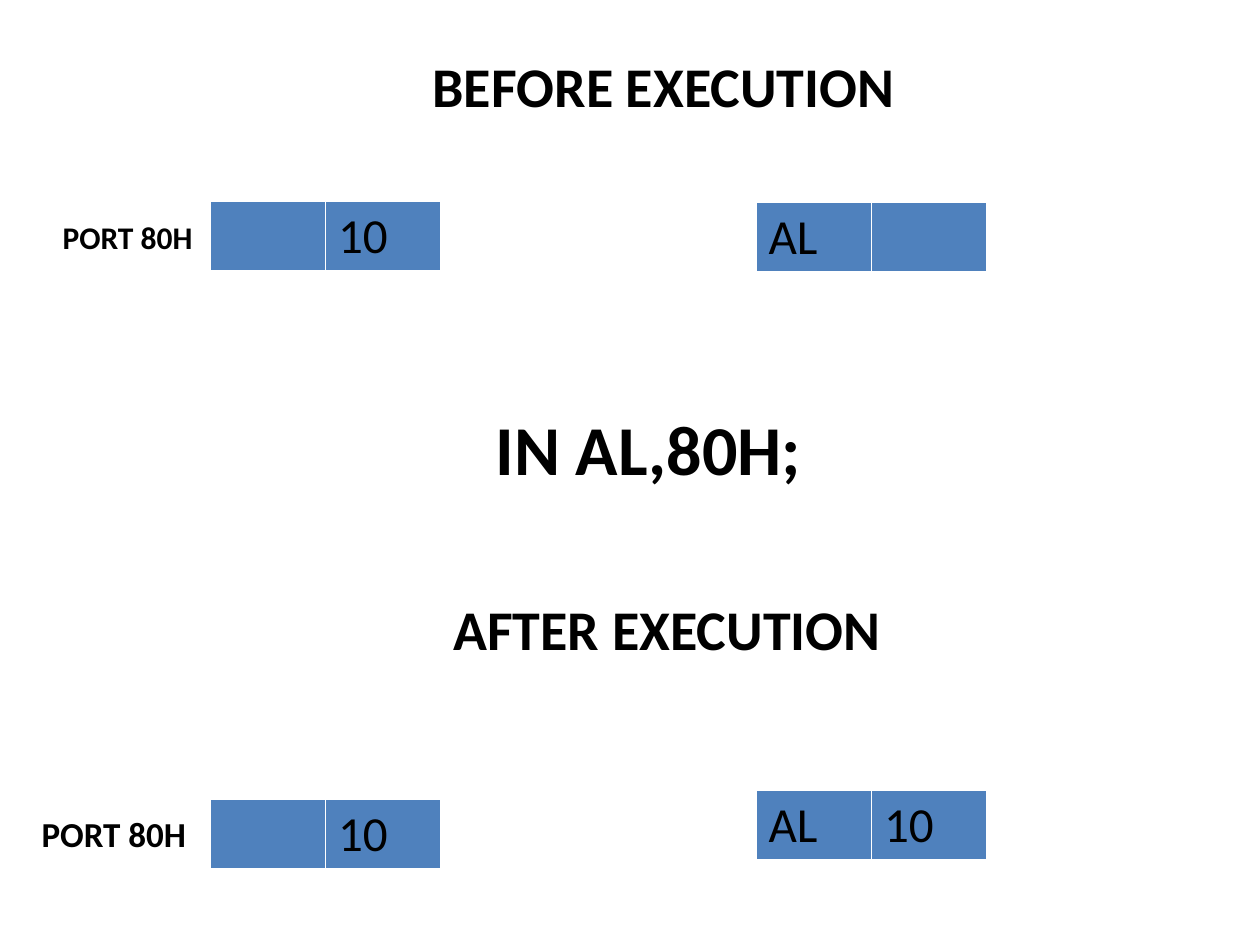
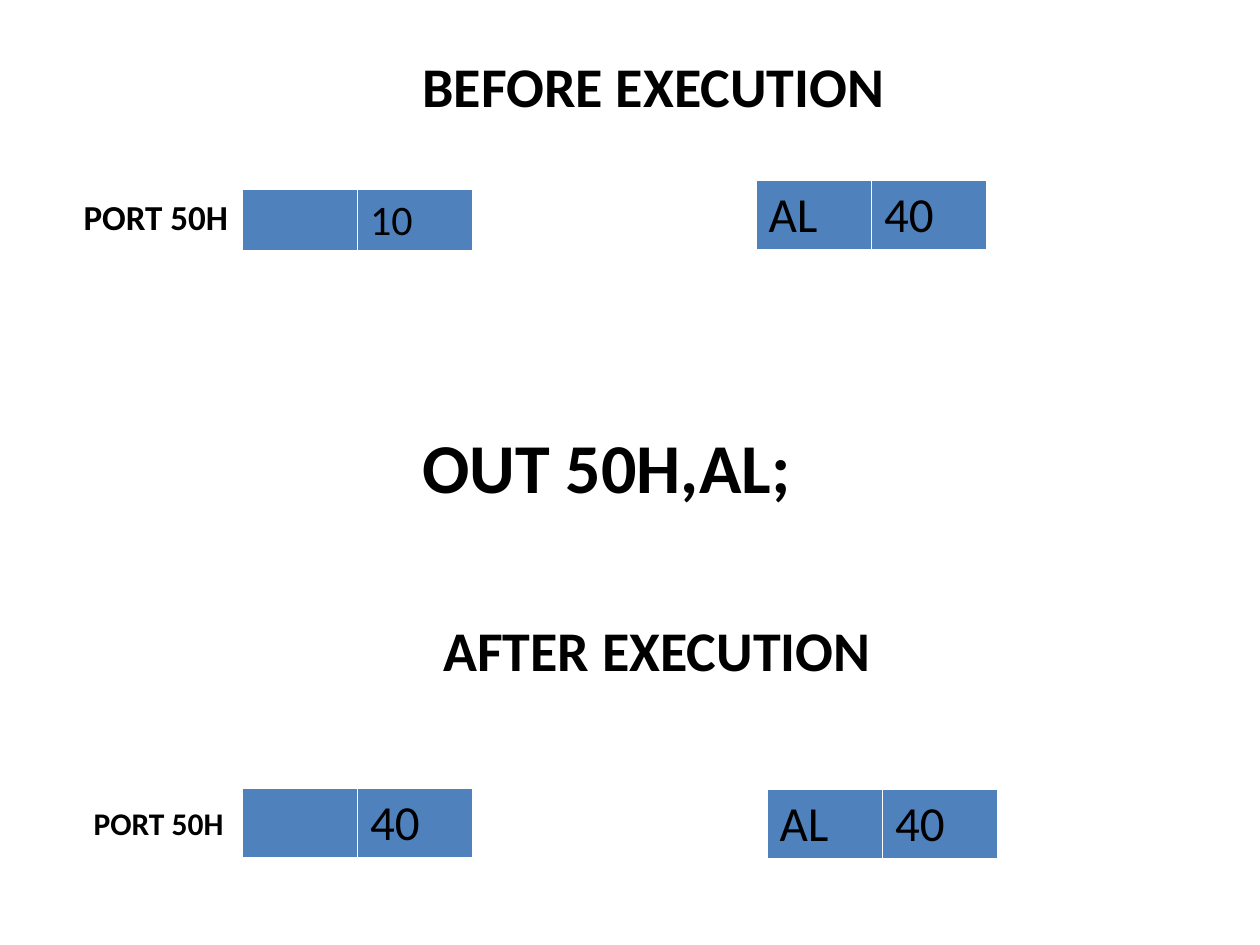
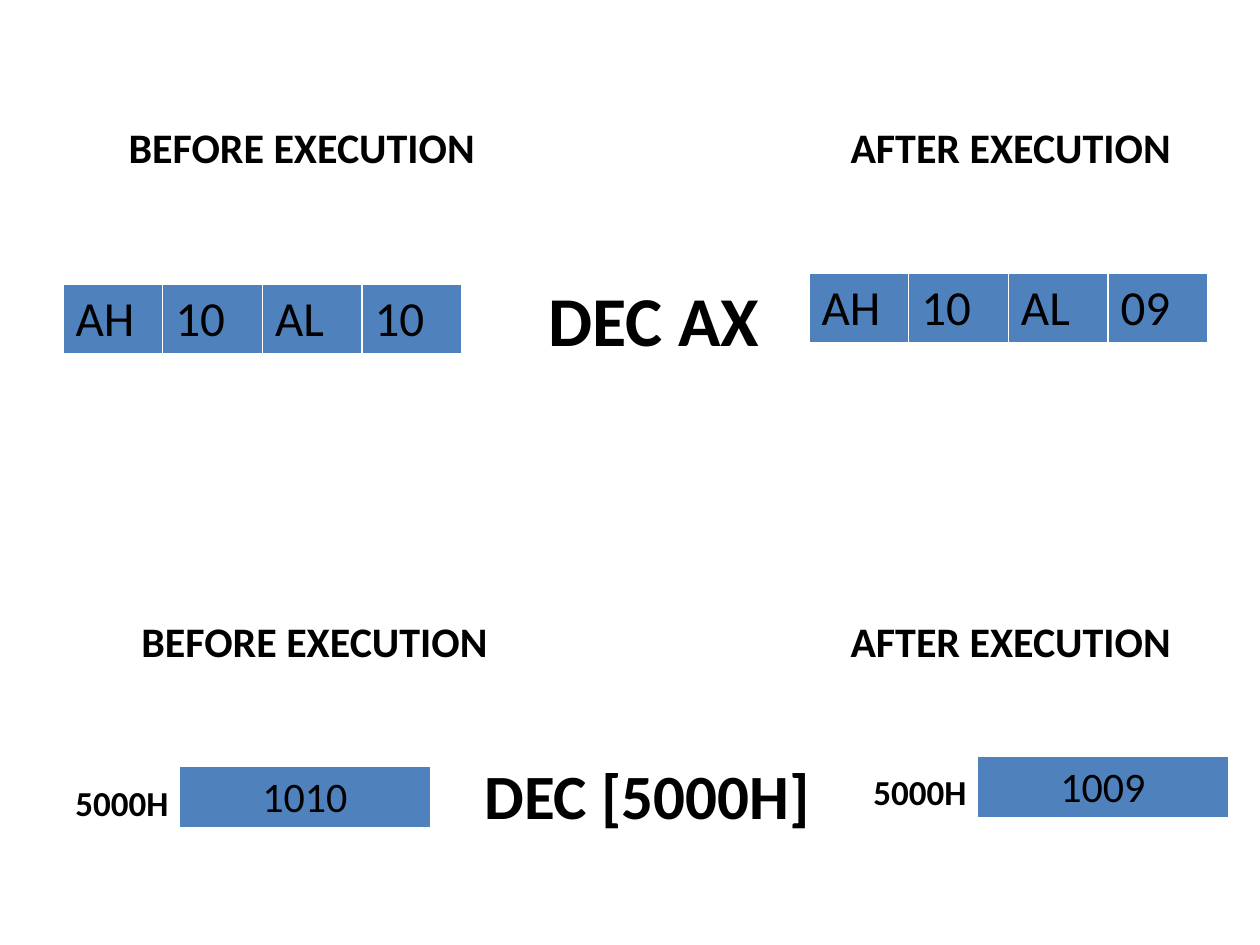
import pptx
import pptx.util
import pptx.dml.color
import pptx.enum.text
import pptx.oxml
import pptx.oxml.ns

# Theme: font, colours, and type sizes in points
THEME = {
    "font": "Calibri",
    "ink": "000000",
    "cell": "4F81BD",
    "rule": "FFFFFF",
    "sizes": {"heading": 32, "subheading": 24, "code": 40, "code_small": 36,
              "label": 20, "label_small": 18, "value": 28, "value_small": 24},
}
PX = 914400 / 126
SLIDE_W, SLIDE_H = 1260, 945
PAIR_W, QUAD_W, WORD_W = 231, 399, 252
HEAD_W, CODE_W, PORT_W, ADDRESS_W = 798, 420, 179, 147
BEFORE_W, AFTER_W = 375, 368
PORT_INDENT, AFTER_INDENT = 8, 19

# Content
# title and texts: text, style, left, top, width, indent
# registers: cell values, style, left, top, width
SLIDES = [
    {
        "title": ("BEFORE EXECUTION", "heading", 420, 45, HEAD_W, 0),
        "texts": [
            ("AFTER EXECUTION", "heading", 441, 588, HEAD_W, 0),
            ("IN AL,80H;", "code", 483, 399, CODE_W, 0),
            ("PORT 80H", "label_small", 42, 212, PORT_W, PORT_INDENT),
            ("PORT 80H", "label", 21, 806, PORT_W, PORT_INDENT),
        ],
        "registers": [
            (["", "10"], "value", 210, 201, PAIR_W),
            (["AL", ""], "value", 756, 202, PAIR_W),
            (["", "10"], "value", 210, 799, PAIR_W),
            (["AL", "10"], "value", 756, 790, PAIR_W),
        ],
    },
    {
        "title": ("BEFORE EXECUTION", "heading", 410, 45, HEAD_W, 0),
        "texts": [
            ("AFTER EXECUTION", "heading", 431, 609, HEAD_W, 0),
            ("OUT 50H,AL;", "code", 410, 417, CODE_W, 0),
            ("PORT 50H", "label", 63, 189, PORT_W, PORT_INDENT),
            ("PORT 50H", "label_small", 73, 798, PORT_W, PORT_INDENT),
        ],
        "registers": [
            (["", "10"], "value_small", 242, 189, PAIR_W),
            (["AL", "40"], "value", 756, 180, PAIR_W),
            (["", "40"], "value", 242, 788, PAIR_W),
            (["AL", "40"], "value", 767, 789, PAIR_W),
        ],
    },
    {
        "title": ("BEFORE EXECUTION", "subheading", 116, 115, BEFORE_W, 0),
        "texts": [
            ("AFTER EXECUTION", "subheading", 819, 115, AFTER_W, AFTER_INDENT),
            ("DEC AX", "code", 536, 270, 242, 0),
            ("BEFORE EXECUTION", "subheading", 129, 609, BEFORE_W, 0),
            ("AFTER EXECUTION", "subheading", 819, 609, AFTER_W, AFTER_INDENT),
            ("5000H", "label", 63, 775, ADDRESS_W, 0),
            ("DEC [5000H]", "code_small", 472, 750, 388, 0),
            ("5000H", "label", 861, 764, ADDRESS_W, 0),
        ],
        "registers": [
            (["AH", "10", "AL", "10"], "value", 63, 284, QUAD_W),
            (["AH", "10", "AL", "09"], "value", 809, 273, QUAD_W),
            (["1010"], "value_small", 179, 766, WORD_W),
            (["1009"], "value_small", 977, 756, WORD_W),
        ],
    },
]


def emu(px):
    return pptx.util.Emu(round(px * PX))


def rgb(name):
    return pptx.dml.color.RGBColor.from_string(THEME[name])


def line_height(style):
    """Height in px of one line of text with its default insets."""
    return round((THEME["sizes"][style] * 1.2 + 7.2) * 126 / 72)


def add_run(p, text, style, bold):
    r = p.add_run()
    r.text = text
    r.font.name = THEME["font"]
    r.font.size = pptx.util.Pt(THEME["sizes"][style])
    r.font.bold = bold
    r.font.color.rgb = rgb("ink")


def write_text(sp, text, style, left, top, width, indent):
    """Place a title or text box and write its bold line."""
    sp.left, sp.top = emu(left), emu(top)
    sp.width, sp.height = emu(width), emu(line_height(style))
    tf = sp.text_frame
    tf.word_wrap = True
    tf.auto_size = pptx.enum.text.MSO_AUTO_SIZE.SHAPE_TO_FIT_TEXT
    tf.vertical_anchor = pptx.enum.text.MSO_ANCHOR.TOP
    tf.margin_left = pptx.util.Inches(0.1) + emu(indent)
    p = tf.paragraphs[0]
    p.alignment = pptx.enum.text.PP_ALIGN.LEFT
    add_run(p, text, style, True)


def set_borders(cell):
    """White rules on each side, heavier at the bottom."""
    tc_pr = cell._tc.get_or_add_tcPr()
    for side, points in (("L", 1), ("R", 1), ("T", 1), ("B", 3)):
        tc_pr.append(pptx.oxml.parse_xml(
            f'<a:ln{side} {pptx.oxml.ns.nsdecls("a")} w="{points * 12700}">'
            f'<a:solidFill><a:srgbClr val="{THEME["rule"]}"/></a:solidFill>'
            f'</a:ln{side}>'))


def add_register(s, values, style, left, top, width):
    """One-row table with equal cells; a lone word is centred."""
    table = s.shapes.add_table(1, len(values), emu(left), emu(top),
                               emu(width), emu(line_height(style))).table
    for i, value in enumerate(values):
        table.columns[i].width = emu(width / len(values))
        cell = table.cell(0, i)
        set_borders(cell)
        cell.fill.solid()
        cell.fill.fore_color.rgb = rgb("cell")
        if value:
            p = cell.text_frame.paragraphs[0]
            if len(values) == 1:
                p.alignment = pptx.enum.text.PP_ALIGN.CENTER
            add_run(p, value, style, False)


def main():
    prs = pptx.Presentation()
    prs.slide_width, prs.slide_height = emu(SLIDE_W), emu(SLIDE_H)
    title_only = prs.slide_layouts[5]
    for content in SLIDES:
        s = prs.slides.add_slide(title_only)
        write_text(s.shapes.title, *content["title"])
        for register in content["registers"]:
            add_register(s, *register)
        for text in content["texts"]:
            write_text(s.shapes.add_textbox(0, 0, 0, 0), *text)
    prs.save("out.pptx")


if __name__ == "__main__":
    main()
